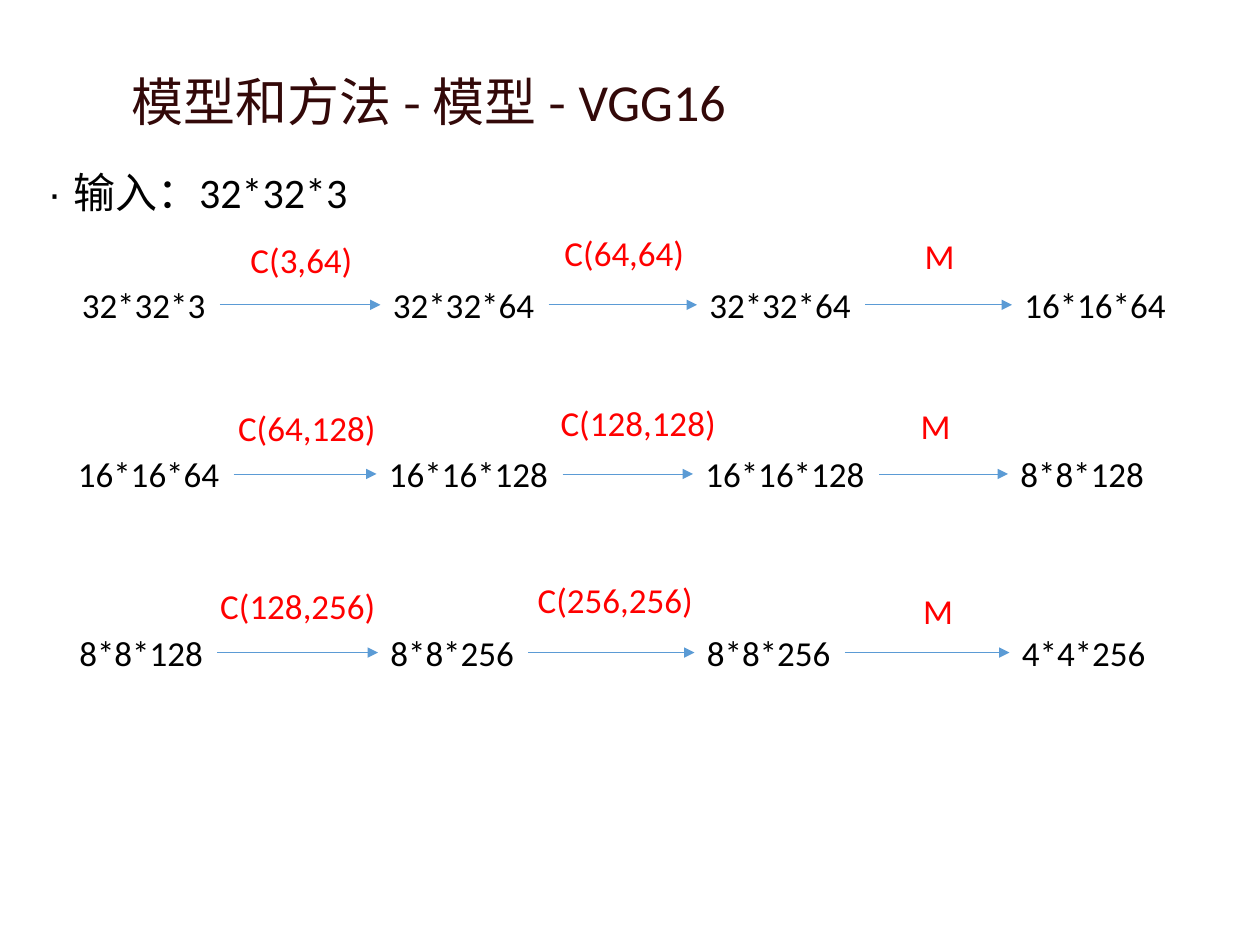
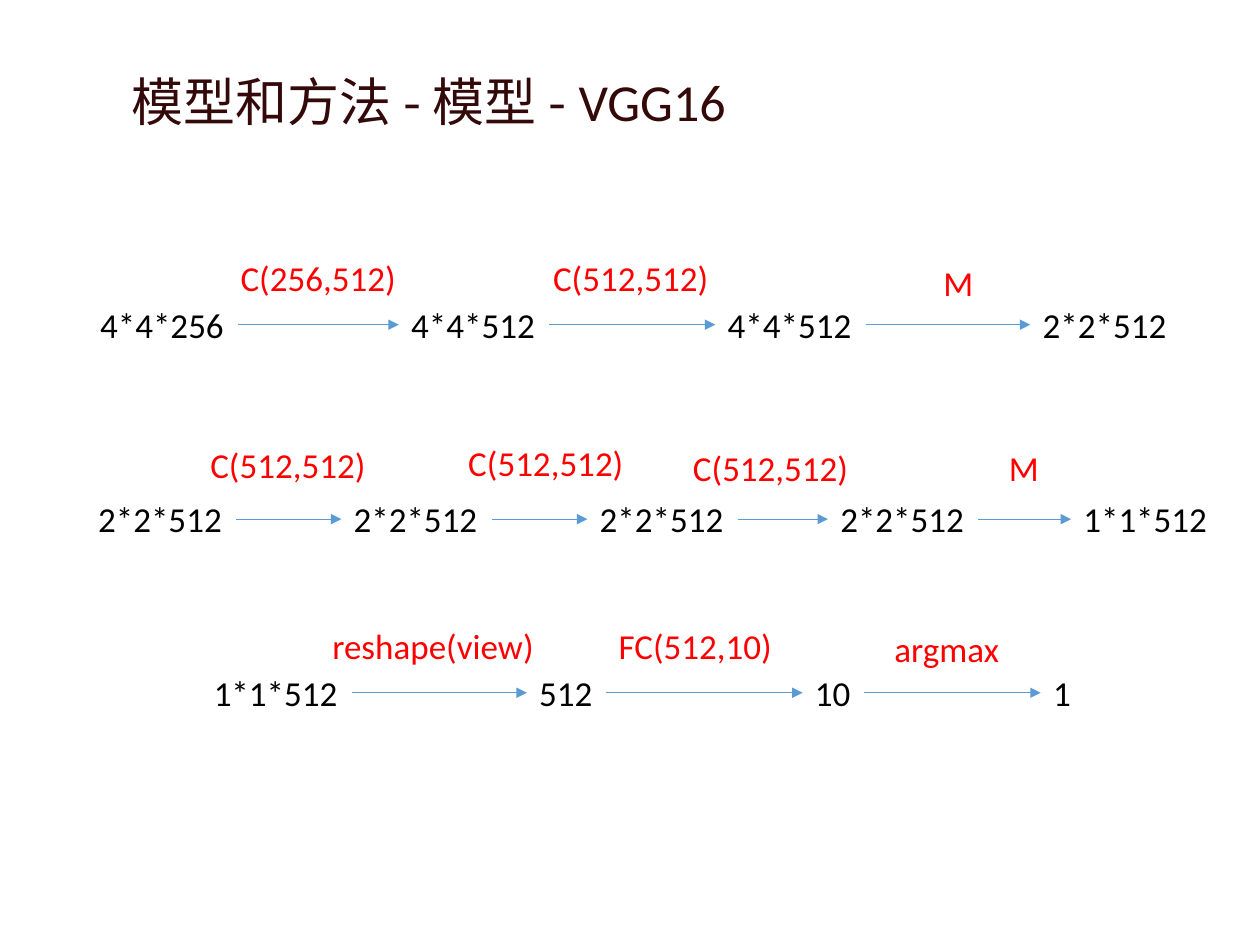
from lxml import etree
from pptx import Presentation
from pptx.dml.color import RGBColor
from pptx.enum.shapes import MSO_CONNECTOR
from pptx.enum.text import MSO_ANCHOR, MSO_AUTO_SIZE, PP_ALIGN
from pptx.oxml.ns import qn
from pptx.util import Cm, Pt

LINE = MSO_CONNECTOR.STRAIGHT
MID, TOP = MSO_ANCHOR.MIDDLE, MSO_ANCHOR.TOP
LEFT = PP_ALIGN.LEFT
GROW, FIXED = MSO_AUTO_SIZE.SHAPE_TO_FIT_TEXT, MSO_AUTO_SIZE.NONE

# Shared style
BLACK, RED, BLUE, BROWN = "000000", "FF0000", "5B9BD5", "330909"
FONT, HAN, ARIAL = "Calibri", "Noto Sans CJK SC", "Arial"
SIZE = 20
TALL = 1.11
TITLE = [("模型和方法 - 模型 - ", HAN), ("VGG16", FONT)]

# Glyph widths at 20 pt, in cm
GLYPH, PAD = 0.36, 0.51
ODD = {"(": 0.22, ")": 0.22, ",": 0.18, "i": 0.2, "r": 0.25,
       "C": 0.4, "m": 0.56, "M": 0.61}

# Left edges of a regular four-step row, relative to its first box
STEPS = (0, 6.27, 12.65, 19)


def color(code):
    return RGBColor.from_string(code)


def grid(left, *names):
    """Place four shapes on the regular columns."""
    return [(name, left + step) for name, step in zip(names, STEPS)]


def width(text):
    return PAD + sum(ODD.get(char, GLYPH) for char in text)


def add_runs(para, runs, size, tint):
    for text, face in runs:
        run = para.add_run()
        run.text = text
        run.font.name = face
        run.font.size = Pt(size)
        run.font.bold = False
        run.font.color.rgb = color(tint)
        east = etree.SubElement(run._r.get_or_add_rPr(), qn("a:ea"))
        east.set("typeface", HAN)


def add_title(slide):
    shape = slide.shapes.title
    shape.left, shape.top = Cm(2.39), Cm(1.43)
    shape.width, shape.height = Cm(20.52), Cm(1.35)
    frame = shape.text_frame
    frame.auto_size = FIXED
    frame.vertical_anchor = MID
    para = frame.paragraphs[0]
    para.alignment = LEFT
    para.line_spacing = 0.9
    add_runs(para, TITLE, 29.7, BROWN)


def add_text(slide, runs, left, top, wide, tall=TALL, size=SIZE, tint=BLACK):
    box = slide.shapes.add_textbox(Cm(left), Cm(top), Cm(wide), Cm(tall))
    frame = box.text_frame
    frame.word_wrap = False
    frame.auto_size = GROW
    frame.vertical_anchor = TOP
    add_runs(frame.paragraphs[0], runs, size, tint)


def add_label(slide, text, left, top, tint):
    add_text(slide, [(text, FONT)], left, top, width(text), tint=tint)


def add_arrow(slide, start, end, level):
    line = slide.shapes.add_connector(
        LINE, Cm(start), Cm(level), Cm(end), Cm(level))
    line.line.color.rgb = color(BLUE)
    line.line.width = Pt(0.5)
    head = etree.SubElement(line.line._get_or_add_ln(), qn("a:tailEnd"))
    head.set("type", "triangle")
    etree.SubElement(line._element.spPr, qn("a:effectLst"))


def add_row(slide, top, nodes, ops):
    """Draw shapes joined by arrows, each operation lifted above its arrow."""
    for text, left in nodes:
        add_label(slide, text, left, top, BLACK)
    for (text, left), (_, end) in zip(nodes, nodes[1:]):
        add_arrow(slide, left + width(text), end, top + TALL / 2)
    for text, left, lift in ops:
        add_label(slide, text, left, top - lift, RED)


def add_page(deck, rows):
    slide = deck.slides.add_slide(deck.slide_layouts[5])
    add_title(slide)
    for row in rows:
        add_row(slide, *row)
    return slide


# Rows: top, tensor shapes with left edges, operations with left edge and lift
FIRST = [
    (5.59, grid(1.4, "32*32*3", "32*32*64", "32*32*64", "16*16*64"),
     [("C(3,64)", 4.8, 0.91), ("C(64,64)", 11.13, 1.04), ("M", 18.39, 0.99)]),
    (9, grid(1.32, "16*16*64", "16*16*128", "16*16*128", "8*8*128"),
     [("C(64,128)", 4.55, 0.93), ("C(128,128)", 11.05, 1.03),
      ("M", 18.31, 0.98)]),
    (12.6, grid(1.35, "8*8*128", "8*8*256", "8*8*256", "4*4*256"),
     [("C(128,256)", 4.19, 0.94), ("C(256,256)", 10.59, 1.07),
      ("M", 18.36, 0.84)]),
]
SECOND = [
    (5.99, grid(1.77, "4*4*256", "4*4*512", "4*4*512", "2*2*512"),
     [("C(256,512)", 4.6, 0.95), ("C(512,512)", 10.9, 0.95),
      ("M", 18.77, 0.85)]),
    (9.91, [("2*2*512", 1.73), ("2*2*512", 6.88), ("2*2*512", 11.84),
            ("2*2*512", 16.69), ("1*1*512", 21.59)],
     [("C(512,512)", 3.99, 1.09), ("C(512,512)", 9.19, 1.14),
      ("C(512,512)", 13.72, 1.04), ("M", 20.09, 1.04)]),
    (13.41, [("1*1*512", 4.06), ("512", 10.62), ("10", 16.18), ("1", 20.98)],
     [("reshape(view)", 6.45, 0.94), ("FC(512,10)", 12.22, 0.94),
      ("argmax", 17.78, 0.89)]),
]


def main():
    deck = Presentation()
    deck.slide_width, deck.slide_height = Cm(25.4), Cm(19.05)

    # Input and the first three blocks
    slide = add_page(deck, FIRST)
    add_text(slide, [("· 输入：", ARIAL), ("32*32*3", FONT)],
             0.71, 3.23, 7.37, 1.27, 24)

    # Last blocks and the classifier
    add_page(deck, SECOND)
    deck.save("out.pptx")


if __name__ == "__main__":
    main()
